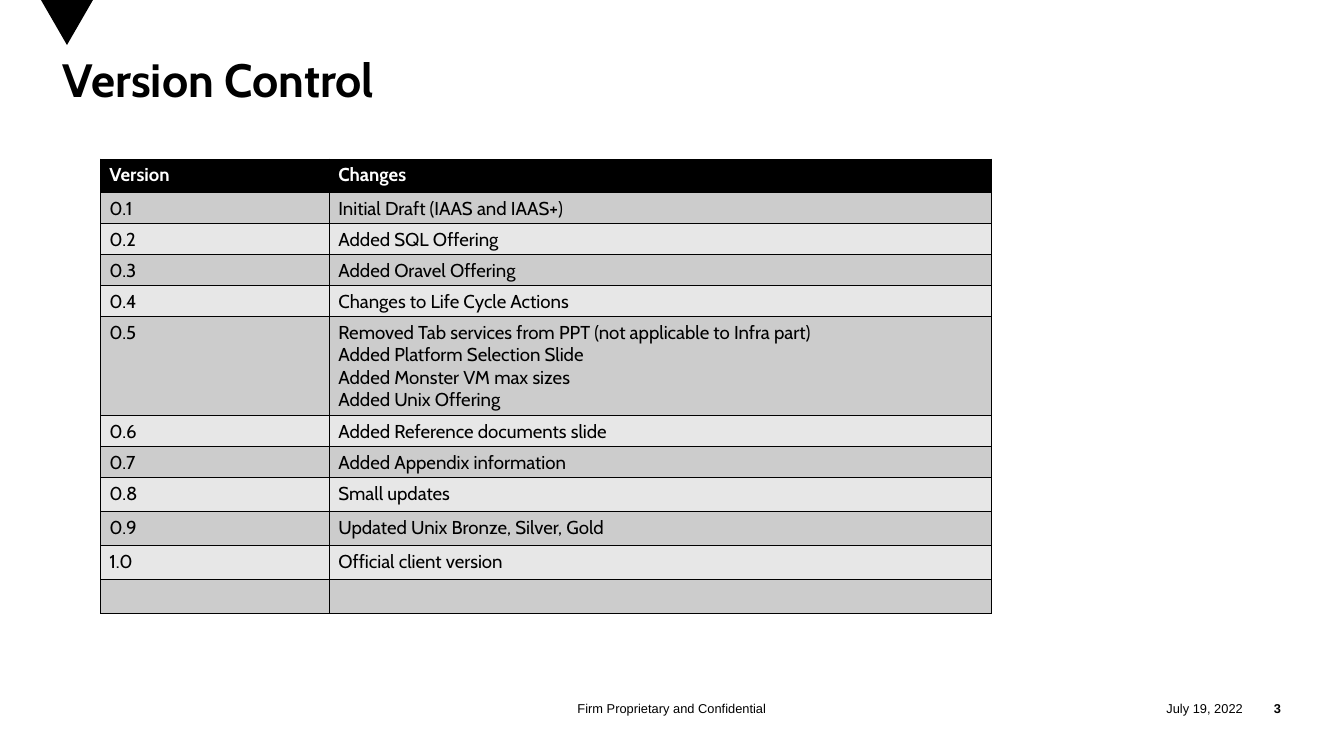
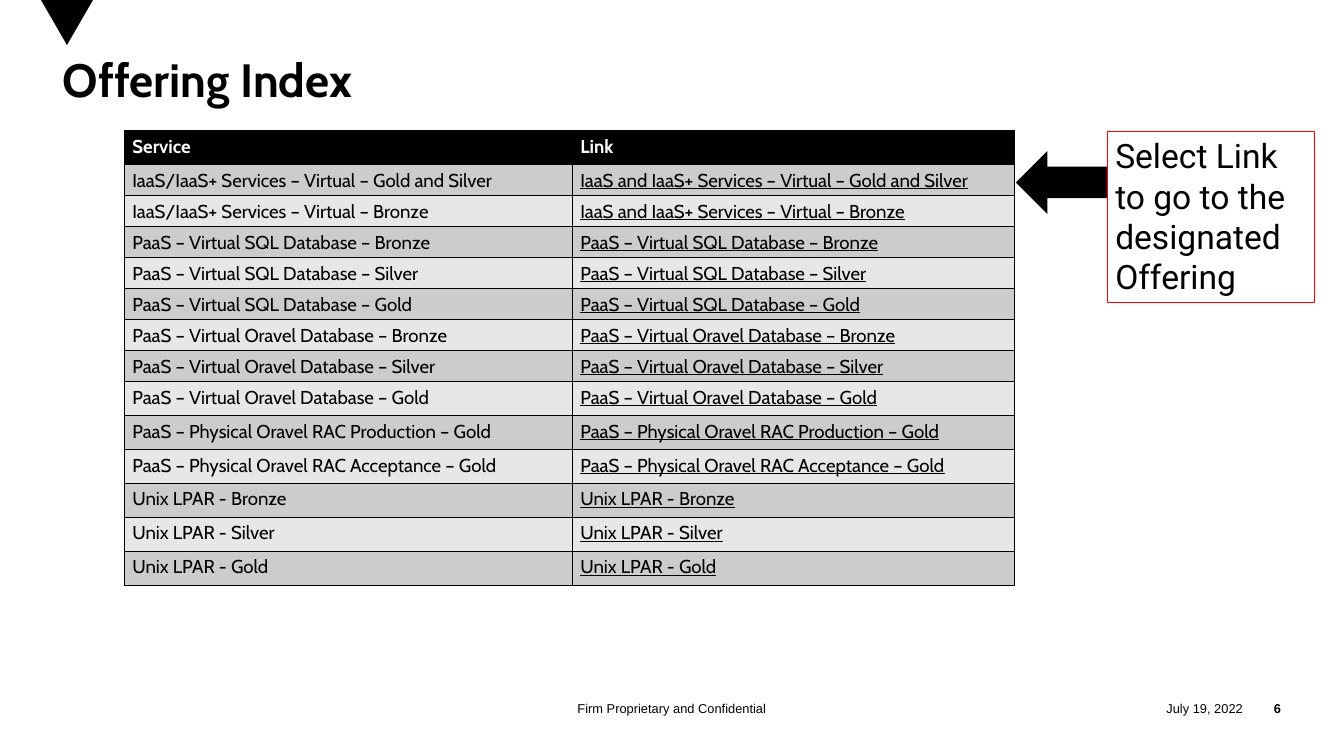
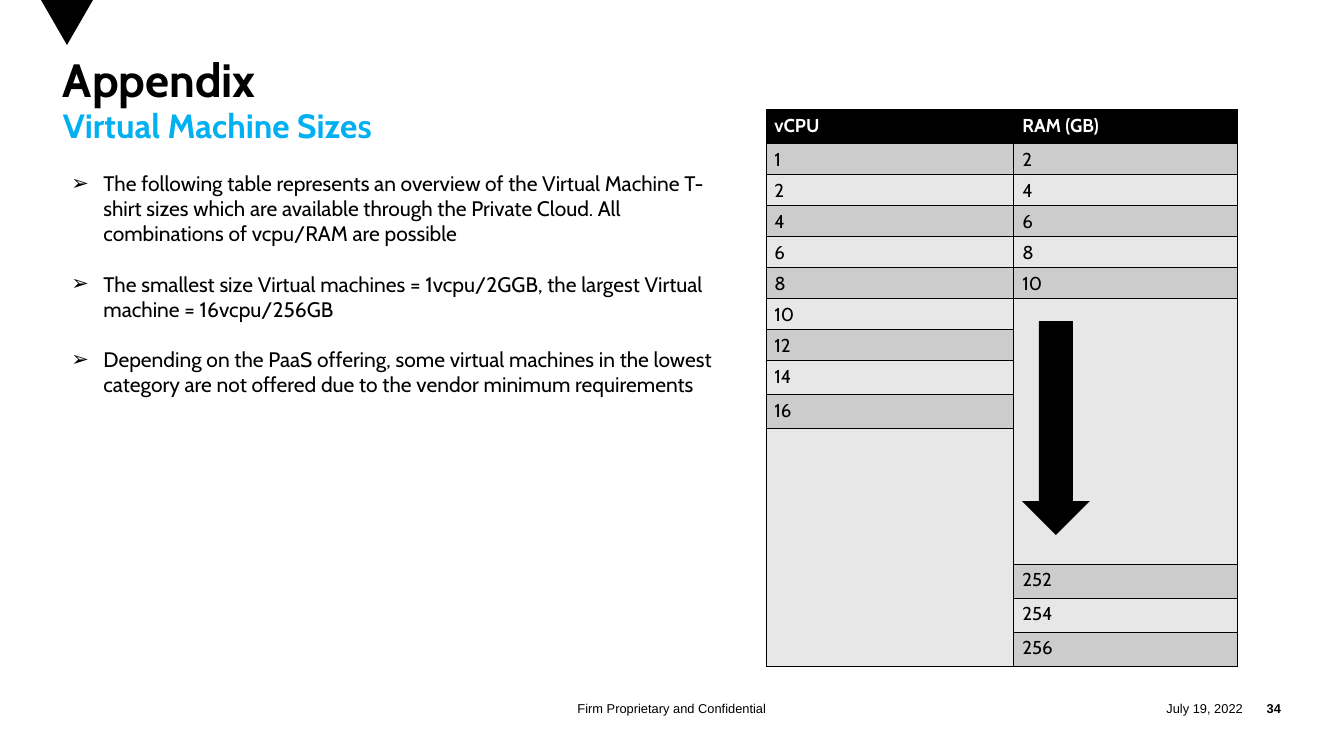
from lxml import etree
from pptx import Presentation
from pptx.dml.color import RGBColor
from pptx.enum.shapes import MSO_SHAPE
from pptx.enum.text import MSO_ANCHOR, MSO_AUTO_SIZE, PP_ALIGN
from pptx.oxml.ns import qn
from pptx.util import Pt

TRIANGLE, LEFT_ARROW, DOWN_ARROW = (
    MSO_SHAPE.FLOWCHART_MERGE, MSO_SHAPE.LEFT_ARROW, MSO_SHAPE.DOWN_ARROW)
LEFT, CENTER, RIGHT = PP_ALIGN.LEFT, PP_ALIGN.CENTER, PP_ALIGN.RIGHT
TOP, MIDDLE = MSO_ANCHOR.TOP, MSO_ANCHOR.MIDDLE
NO_AUTOFIT = MSO_AUTO_SIZE.NONE

PX = 10886  # EMU in one px, 84 px to the inch
COLORS = {
    "black": "000000", "white": "FFFFFF", "dark_band": "CCCCCC",
    "light_band": "E7E7E7", "accent": "00B0F0", "alert": "FF0000",
}
TITLE = {"name": "Cabin", "size": Pt(40), "bold": True}
SUBTITLE = {"name": "Cabin", "size": Pt(28.8), "bold": True}
BODY = {"name": "Cabin", "size": Pt(18)}
HEADER = {"name": "Cabin", "size": Pt(16), "bold": True}
CELL = {"name": "Cabin", "size": Pt(16), "bold": False}
LINK = {**CELL, "underline": True}
CALLOUT = {"name": "Roboto", "size": Pt(28.8)}
FOOTER = {"name": "Arial", "size": Pt(11), "bold": False}
PAGE_NUMBER = {**FOOTER, "bold": True}
NO_MARGINS = {"margin_left": 0, "margin_right": 0, "margin_top": 0, "margin_bottom": 0}


def emu(*lengths):
    return [length * PX for length in lengths]


def write(paragraph, text, style, color="black"):
    """Add a run in the given font style and colour."""
    run = paragraph.add_run()
    run.text = text
    for attribute, value in style.items():
        setattr(run.font, attribute, value)
    run.font.color.rgb = RGBColor.from_string(COLORS[color])


services = [
    "IaaS/IaaS+ Services – Virtual – Gold and Silver",
    "IaaS/IaaS+ Services – Virtual – Bronze",
    "PaaS – Virtual SQL Database – Bronze",
    "PaaS – Virtual SQL Database – Silver",
    "PaaS – Virtual SQL Database – Gold",
    "PaaS – Virtual Oravel Database – Bronze",
    "PaaS – Virtual Oravel Database – Silver",
    "PaaS – Virtual Oravel Database – Gold",
    "PaaS – Physical Oravel RAC Production – Gold",
    "PaaS – Physical Oravel RAC Acceptance – Gold",
    "Unix LPAR - Bronze",
    "Unix LPAR - Silver",
    "Unix LPAR - Gold",
]
pages = [
    {
        "title": "Version Control", "number": "3", "layout": 5,
        "origin": (101, 159), "columns": [229, 662],
        "heights": [34] + [31] * 4 + [99] + [31] * 2 + [34] * 4,
        "styles": [CELL, CELL], "merges": [],
        "rows": [
            ("Version", "Changes"),
            ("0.1", "Initial Draft (IAAS and IAAS+)"),
            ("0.2", "Added SQL Offering"),
            ("0.3", "Added Oravel Offering"),
            ("0.4", "Changes to Life Cycle Actions"),
            ("0.5", "Removed Tab services from PPT (not applicable to Infra part)\n"
                    "Added Platform Selection Slide\n"
                    "Added Monster VM max sizes\n"
                    "Added Unix Offering"),
            ("0.6", "Added Reference documents slide"),
            ("0.7", "Added Appendix information"),
            ("0.8", "Small updates"),
            ("0.9", "Updated Unix Bronze, Silver, Gold"),
            ("1.0", "Official client version"),
            ("", ""),
        ],
    },
    {
        "title": "Offering Index", "number": "6", "layout": 5,
        "origin": (124, 131), "columns": [448, 443],
        "heights": [34] + [31] * 7 + [34] * 6,
        "styles": [CELL, LINK], "merges": [],
        "rows": [("Service", "Link")] + [
            (service, service.replace("IaaS/", "IaaS and ")) for service in services],
    },
    {
        "title": "Appendix", "number": "34", "layout": 1,
        "origin": (766, 110), "columns": [248, 224],
        "heights": [34] + [31] * 7 + [34] * 2 + [136] + [34] * 3,
        "styles": [CELL, CELL], "merges": [(6, 10, 1), (10, 13, 0)],
        "rows": [
            ("vCPU", "RAM (GB)"),
            ("1", "2"), ("2", "4"), ("4", "6"), ("6", "8"), ("8", "10"),
            ("10", ""), ("12", ""), ("14", ""), ("16", ""), ("", ""),
            ("", "252"), ("", "254"), ("", "256"),
        ],
    },
]

presentation = Presentation()
presentation.slide_width, presentation.slide_height = emu(1344, 756)

for page in pages:
    slide = presentation.slides.add_slide(presentation.slide_layouts[page["layout"]])

    marker = slide.shapes.add_shape(TRIANGLE, *emu(41, 0, 52, 45))
    marker.shadow.inherit = False
    marker.fill.solid()
    marker.fill.fore_color.rgb = RGBColor.from_string(COLORS["black"])
    marker.line.fill.background()

    footers = [
        ((1093, 696, 150, 25), "July 19, 2022", RIGHT, FOOTER),
        ((1243, 696, 38, 25), page["number"], RIGHT, PAGE_NUMBER),
        ((441, 696, 462, 25), "Firm Proprietary and Confidential", CENTER, FOOTER),
    ]
    for place, text, alignment, style in footers:
        frame = slide.shapes.add_textbox(*emu(*place)).text_frame
        for attribute, value in NO_MARGINS.items():
            setattr(frame, attribute, value)
        frame.word_wrap = True
        frame.vertical_anchor = MIDDLE
        frame.paragraphs[0].alignment = alignment
        write(frame.paragraphs[0], text, style)

    title = slide.shapes.title
    title.left, title.top, title.width, title.height = emu(63, 59, 1218, 130)
    frame = title.text_frame
    for attribute, value in NO_MARGINS.items():
        setattr(frame, attribute, value)
    frame.auto_size = NO_AUTOFIT
    frame.vertical_anchor = TOP
    frame.paragraphs[0].alignment = LEFT
    frame.paragraphs[0].line_spacing = 0.85
    write(frame.paragraphs[0], page["title"], TITLE)

    rows, columns, heights = page["rows"], page["columns"], page["heights"]
    table = slide.shapes.add_table(
        len(rows), len(columns),
        *emu(*page["origin"], sum(columns), sum(heights))).table
    for column, width in zip(table.columns, columns):
        column.width = width * PX
    for row, height in zip(table.rows, heights):
        row.height = height * PX
    for row_index, texts in enumerate(rows):
        band = "dark_band" if row_index % 2 else "light_band"
        fill, color = (band, "black") if row_index else ("black", "white")
        for column_index, text in enumerate(texts):
            cell = table.cell(row_index, column_index)
            properties = cell._tc.get_or_add_tcPr()
            for side in ("a:lnL", "a:lnR", "a:lnT", "a:lnB"):
                border = etree.SubElement(properties, qn(side), w=str(Pt(1)))
                stroke = etree.SubElement(border, qn("a:solidFill"))
                etree.SubElement(stroke, qn("a:srgbClr"), val=COLORS["black"])
            cell.fill.solid()
            cell.fill.fore_color.rgb = RGBColor.from_string(COLORS[fill])
            style = page["styles"][column_index] if row_index else HEADER
            frame = cell.text_frame
            if not text:
                end = etree.SubElement(frame.paragraphs[0]._p, qn("a:endParaRPr"))
                end.set("sz", "1600")
                continue
            for line_index, line in enumerate(text.split("\n")):
                paragraph = frame.add_paragraph() if line_index else frame.paragraphs[0]
                write(paragraph, line, style, color)
    for first_row, last_row, column_index in page["merges"]:
        table.cell(first_row, column_index).merge(table.cell(last_row, column_index))

_, index_slide, appendix_slide = presentation.slides

callout = index_slide.shapes.add_textbox(*emu(1107, 131, 207, 171))
callout.line.color.rgb = RGBColor.from_string(COLORS["alert"])
callout.line.width = Pt(0.75)
callout.text_frame.word_wrap = True
write(callout.text_frame.paragraphs[0],
      "Select Link to go to the designated Offering", CALLOUT)

arrows = [
    (index_slide, LEFT_ARROW, (1016, 151, 91, 63)),
    (appendix_slide, DOWN_ARROW, (1022, 321, 68, 214)),
]
for slide, direction, place in arrows:
    arrow = slide.shapes.add_shape(direction, *emu(*place))
    arrow.shadow.inherit = False
    arrow.fill.solid()
    arrow.fill.fore_color.rgb = RGBColor.from_string(COLORS["black"])
    arrow.line.fill.background()

subtitle = appendix_slide.shapes.add_textbox(*emu(63, 110, 472, 50)).text_frame
for attribute, value in NO_MARGINS.items():
    setattr(subtitle, attribute, value)
subtitle.word_wrap = True
subtitle.paragraphs[0].line_spacing = 0.9
write(subtitle.paragraphs[0], "Virtual Machine Sizes", SUBTITLE, "accent")

notes_on_sizes = [
    "The following table represents an overview of the Virtual Machine T-shirt sizes "
    "which are available through the Private Cloud. All combinations of vcpu/RAM are possible",
    "The smallest size Virtual machines = 1vcpu/2GGB, the largest Virtual machine = 16vcpu/256GB",
    "Depending on the PaaS offering, some virtual machines in the lowest category "
    "are not offered due to the vendor minimum requirements",
]
body = appendix_slide.placeholders[1]
body.left, body.top, body.width, body.height = emu(63, 166, 660, 319)
body.text_frame.auto_size = NO_AUTOFIT
for index, note in enumerate(notes_on_sizes):
    paragraph = body.text_frame.add_paragraph() if index else body.text_frame.paragraphs[0]
    properties = paragraph._p.get_or_add_pPr()
    properties.set("marL", str(32 * PX))
    properties.set("indent", str(-32 * PX))
    etree.SubElement(properties, qn("a:buChar"), char="➢")
    paragraph.space_before = Pt(21.6 if index else 0)
    write(paragraph, note, BODY)

presentation.save("out.pptx")
